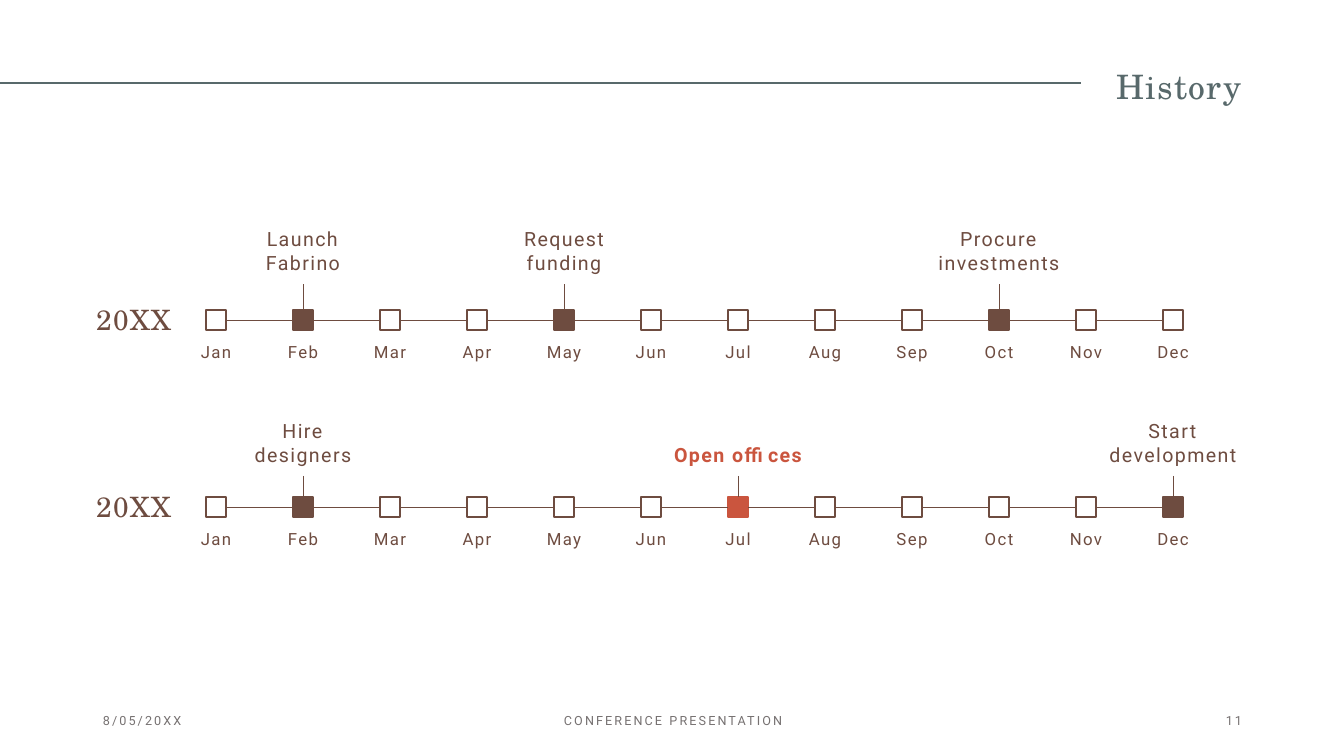
import pptx
import pptx.dml.color
import pptx.enum.shapes
import pptx.enum.text
import pptx.oxml.ns
import pptx.util
from lxml import etree

PX = 9071  # EMU per px, 100.8 px to the inch
BROWN, ACCENT, SLATE, GREY = "6E4C40", "CA553E", "58696B", "767171"
SANS, SERIF = "Roboto", "TeX Gyre Schola"
ALIGN = pptx.enum.text.PP_ALIGN
ANCHOR = pptx.enum.text.MSO_ANCHOR
rgb = pptx.dml.color.RGBColor.from_string

deck = pptx.Presentation()
deck.slide_width, deck.slide_height = 1344 * PX, 756 * PX
slide = deck.slides.add_slide(deck.slide_layouts[6])


def add_text(wording, box, size, color=BROWN, font=SANS, align=ALIGN.CENTER,
             anchor=ANCHOR.MIDDLE, bold=False, leading=1.0, before=0, tracking=100):
    """box is left, top, width, height in px; tracking is in hundredths of a point."""
    frame = slide.shapes.add_textbox(*(n * PX for n in box)).text_frame
    frame.word_wrap = True
    frame.vertical_anchor = anchor
    frame.text = wording
    for paragraph in frame.paragraphs:
        paragraph.alignment = align
        paragraph.line_spacing = leading
        paragraph.space_before = pptx.util.Pt(before)
        paragraph.font.size = pptx.util.Pt(size)
        paragraph.font.name = font
        paragraph.font.bold = bold
        paragraph.font.color.rgb = rgb(color)
        for run in paragraph.runs:
            run._r.get_or_add_rPr().set("spc", str(tracking))


def add_line(x1, y1, x2, y2, color=BROWN, weight=0.5):
    line = slide.shapes.add_connector(pptx.enum.shapes.MSO_CONNECTOR.STRAIGHT,
                                      x1 * PX, y1 * PX, x2 * PX, y2 * PX)
    line.line.color.rgb = rgb(color)
    line.line.width = pptx.util.Pt(weight)
    etree.SubElement(line._element.spPr, pptx.oxml.ns.qn("a:effectLst"))
    return line


add_line(0, 83, 1081, 83, SLATE, 1.5)
add_text("History", (1037, 11, 215, 140), 24, SLATE, SERIF, ALIGN.RIGHT, leading=1.25)

months = ["Jan", "Feb", "Mar", "Apr", "May", "Jun",
          "Jul", "Aug", "Sep", "Oct", "Nov", "Dec"]
first_x, pitch, marker_size = 216, 87, 20
half = marker_size // 2

# axis height, top of the stems, events by month
years = [
    (320, 284, {"Feb": "Launch Fabrino", "May": "Request\nfunding",
                "Oct": "Procure investments"}),
    (507, 476, {"Feb": "Hire designers", "Jul": "Open offices",
                "Dec": "Start development"}),
]
highlight = "Open offices"

for axis_y, stem_top, events in years:
    add_text("20XX", (77, axis_y - 26, 113, 55), 20, font=SERIF, leading=0.9, before=10)
    previous = None
    for i, month in enumerate(months):
        x = first_x + i * pitch
        event = events.get(month)
        color = ACCENT if event == highlight else BROWN

        marker = slide.shapes.add_shape(
            pptx.enum.shapes.MSO_SHAPE.RECTANGLE, (x - half) * PX, (axis_y - half) * PX,
            marker_size * PX, marker_size * PX)
        marker.shadow.inherit = False
        marker.line.color.rgb = rgb(color)
        marker.line.width = pptx.util.Pt(1)
        if event:
            marker.fill.solid()
            marker.fill.fore_color.rgb = rgb(color)
            stem = add_line(x, stem_top, x, axis_y - half)
            stem.end_connect(marker, 0)
            add_text(event, (x - 79, stem_top - 57, 158, 52), 14, color,
                     anchor=ANCHOR.BOTTOM, bold=event == highlight)
        else:
            marker.fill.background()

        if previous:
            link = add_line(x - pitch + half, axis_y, x - half, axis_y)
            link.begin_connect(previous, 3)
            link.end_connect(marker, 1)
        previous = marker

        label_width = 68 if month == "May" else 56
        add_text(month, (x - label_width // 2, axis_y + 21, label_width, 72), 12,
                 anchor=ANCHOR.TOP, leading=0.8)

for wording, left, width, align in [
    ("8/05/20XX", 93, 302, ALIGN.LEFT),
    ("CONFERENCE PRESENTATION", 446, 454, ALIGN.CENTER),
    ("11", 950, 302, ALIGN.RIGHT),
]:
    add_text(wording, (left, 701, width, 40), 9, GREY, align=align, tracking=150)

deck.save("out.pptx")
